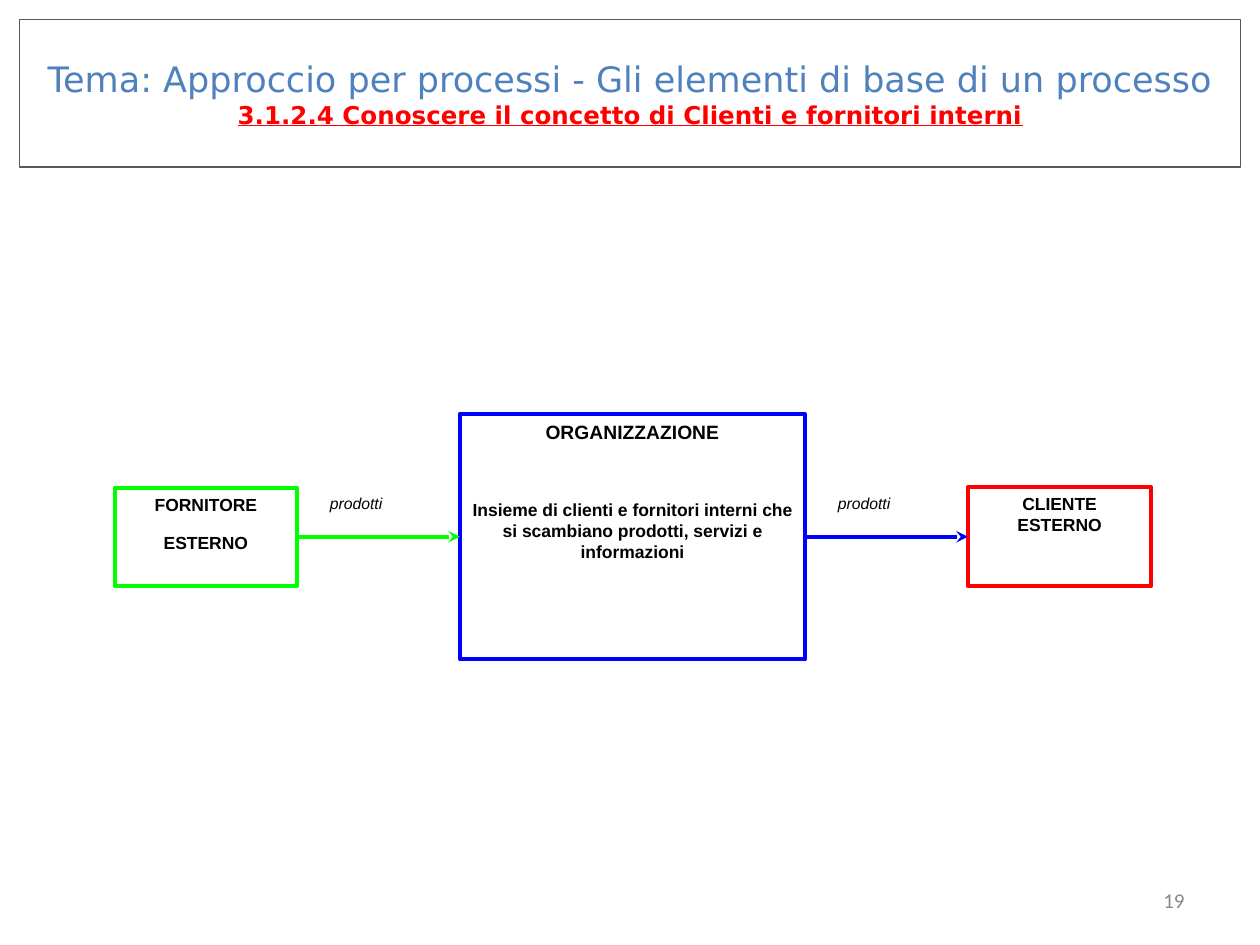
import pptx
import pptx.util
import pptx.dml.color
import pptx.enum.shapes
import pptx.enum.text
import pptx.oxml
import pptx.oxml.ns

Cm = pptx.util.Cm
Pt = pptx.util.Pt
RGB = pptx.dml.color.RGBColor
ALIGN = pptx.enum.text.PP_ALIGN
ANCHOR = pptx.enum.text.MSO_ANCHOR
RECT = pptx.enum.shapes.MSO_SHAPE.RECTANGLE
LINE = pptx.enum.shapes.MSO_CONNECTOR.STRAIGHT

WHITE = RGB(0xFF, 0xFF, 0xFF)
BLACK = RGB(0x00, 0x00, 0x00)
GREEN = RGB(0x00, 0xFF, 0x00)
BLUE = RGB(0x00, 0x00, 0xFF)
RED = RGB(0xFF, 0x00, 0x00)
STEEL = RGB(0x4F, 0x81, 0xBD)
DARK = RGB(0x59, 0x59, 0x59)
GRAY = RGB(0x89, 0x89, 0x89)

HEAD = {"name": "DejaVu Sans", "size": Pt(20), "bold": False}
TOPIC = {"name": "DejaVu Sans", "size": Pt(14), "bold": True, "underline": True}
PAGE = {"name": "Calibri", "size": Pt(12)}
NAME = {"name": "Arial", "size": Pt(10), "bold": True}
ORG = {**NAME, "size": Pt(11)}
LABEL = {"name": "Arial", "size": Pt(9), "italic": True}

MID = 10.82
LEFT, RIGHT = 1, 3


def apply(item, style):
    for key, value in style.items():
        setattr(item, key, value)


def add_run(para, text, style, color):
    run = para.add_run()
    run.text = text
    apply(run.font, style)
    run.font.color.rgb = color


def add_para(frame, index, text, style, form):
    para = frame.paragraphs[0] if index == 0 else frame.add_paragraph()
    apply(para, form)
    add_run(para, text, style, BLACK)


def add_box(slide, place, rows, color=None, align=ALIGN.CENTER):
    box = slide.shapes.add_shape(RECT, *map(Cm, place))
    box.shadow.inherit = False
    box.fill.solid()
    box.fill.fore_color.rgb = WHITE
    if color is None:
        box.line.fill.background()
    else:
        box.line.color.rgb = color
        box.line.width = Pt(2.25)
    frame = box.text_frame
    apply(frame, {"word_wrap": True, "vertical_anchor": ANCHOR.TOP})
    for index, (text, style, gap) in enumerate(rows):
        form = {"alignment": align, "space_before": Pt(gap), "space_after": Pt(10)}
        add_para(frame, index, text, style, form)
    return box


def add_arrow(slide, start, end, color):
    arrow = slide.shapes.add_connector(LINE, 0, 0, 0, 0)
    arrow.begin_connect(start, RIGHT)
    arrow.end_connect(end, LEFT)
    arrow.line.color.rgb = color
    arrow.line.width = Pt(2.25)
    tail = pptx.oxml.parse_xml(
        f'<a:tailEnd {pptx.oxml.ns.nsdecls("a")} type="stealth"/>')
    arrow.line._get_or_add_ln().append(tail)
    blank = pptx.oxml.parse_xml(f'<a:effectLst {pptx.oxml.ns.nsdecls("a")}/>')
    arrow._element.spPr.append(blank)


def set_title(slide):
    title = slide.shapes.title
    apply(title, {"left": Cm(0.4), "top": Cm(0.4),
                  "width": Cm(24.61), "height": Cm(2.97)})
    title.line.color.rgb = DARK
    title.line.width = Pt(0.75)
    frame = title.text_frame
    apply(frame, {"word_wrap": True, "vertical_anchor": ANCHOR.MIDDLE,
                  "auto_size": pptx.enum.text.MSO_AUTO_SIZE.NONE})
    para = frame.paragraphs[0]
    para.alignment = ALIGN.CENTER
    add_run(para, "Tema: Approccio per processi - Gli elementi di base di un processo",
            HEAD, STEEL)
    para.add_line_break()
    add_run(para, "3.1.2.4 Conoscere il concetto di Clienti e fornitori interni",
            TOPIC, RED)


def add_page(slide):
    box = slide.shapes.add_textbox(Cm(18.2), Cm(17.65), Cm(5.93), Cm(1.01))
    frame = box.text_frame
    apply(frame, {"word_wrap": True, "vertical_anchor": ANCHOR.MIDDLE})
    para = frame.paragraphs[0]
    para.alignment = ALIGN.RIGHT
    add_run(para, "19", PAGE, GRAY)


def main():
    deck = pptx.Presentation()
    apply(deck, {"slide_width": Cm(25.4), "slide_height": Cm(19.05)})
    slide = deck.slides.add_slide(deck.slide_layouts[5])
    set_title(slide)
    add_page(slide)

    specs = [
        (2.31, 3.68, 1.98, GREEN, [("FORNITORE", NAME, 0), ("ESTERNO", NAME, 0)]),
        (9.27, 6.96, 4.95, BLUE, [
            ("ORGANIZZAZIONE", ORG, 0),
            ("Insieme di clienti e fornitori interni che si scambiano prodotti, "
             "servizi e informazioni", NAME, 22)]),
        (19.51, 3.7, 2.0, RED, [("CLIENTE ESTERNO", NAME, 0)]),
    ]
    boxes = [add_box(slide, (left, MID - high / 2, wide, high), rows, color)
             for left, wide, high, color, rows in specs]
    for left in (6.4, 16.64):
        add_box(slide, (left, MID - 1, 2.06, 1), [("prodotti", LABEL, 0)],
                align=ALIGN.LEFT)
    for start, end, color in zip(boxes, boxes[1:], (GREEN, BLUE)):
        add_arrow(slide, start, end, color)
    deck.save("out.pptx")


if __name__ == "__main__":
    main()
